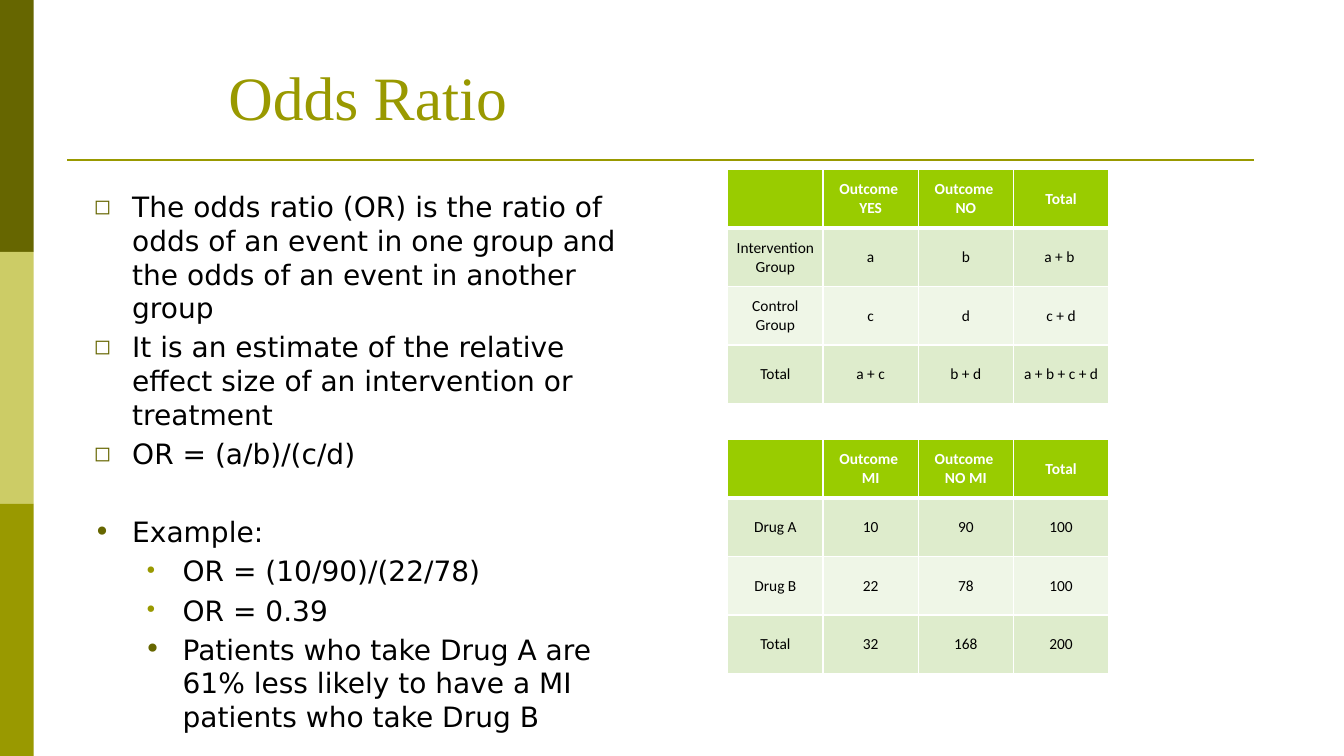
"""Build the Odds Ratio slide with its bullet list and two outcome tables."""
from dataclasses import dataclass

from lxml import etree
from pptx import Presentation
from pptx.dml.color import RGBColor
from pptx.enum.shapes import MSO_CONNECTOR, MSO_SHAPE
from pptx.enum.text import MSO_ANCHOR, PP_ALIGN
from pptx.oxml.ns import qn
from pptx.util import Emu, Inches, Pt

RECT = MSO_SHAPE.RECTANGLE
LINE = MSO_CONNECTOR.STRAIGHT
TOP, MIDDLE, BOTTOM = MSO_ANCHOR.TOP, MSO_ANCHOR.MIDDLE, MSO_ANCHOR.BOTTOM
CENTER = PP_ALIGN.CENTER
WIDE, HIGH = Inches(13.333), Inches(7.5)
COLS, ROWS = 80, 45


@dataclass(frozen=True)
class Theme:
    dark: str = "666600"
    pale: str = "CCCC66"
    olive: str = "999900"
    head: str = "99CC00"
    bands: tuple = ("DEECCC", "EFF6E7")
    white: str = "FFFFFF"
    black: str = "000000"
    serif: str = "Times New Roman"
    sans: str = "DejaVu Sans"
    grid: str = "Calibri"
    title: int = 44
    body: int = 20
    cell: int = 11
    lead: int = 24
    gap: int = 4


@dataclass(frozen=True)
class Box:
    x: float
    y: float
    w: float
    h: float

    def place(self) -> tuple:
        return across(self.x), down(self.y), across(self.w), down(self.h)


@dataclass(frozen=True)
class Point:
    text: str
    mark: str = "◻"
    tint: str = "666600"
    size: int = 75
    left: float = 0.38
    gap: int = 4


@dataclass(frozen=True)
class Grid:
    box: Box
    rows: tuple


T = Theme()
BARS = (T.dark, T.pale, T.olive)
SUB = dict(mark="•", left=0.88)
POINTS = (
    Point("The odds ratio (OR) is the ratio of odds of an event in one group "
          "and the odds of an event in another group"),
    Point("It is an estimate of the relative effect size of an intervention "
          "or treatment"),
    Point("OR = (a/b)/(c/d)"),
    Point("Example:", mark="•", size=100, gap=T.lead + 2 * T.gap),
    Point("OR = (10/90)/(22/78)", tint=T.olive, size=80, **SUB),
    Point("OR = 0.39", tint=T.olive, size=80, **SUB),
    Point("Patients who take Drug A are 61% less likely to have a MI patients "
          "who take Drug B", size=100, **SUB),
)
GRIDS = (
    Grid(Box(43.32, 10.1, 22.68, 13.92), (
        ("", "Outcome \nYES", "Outcome \nNO", "Total"),
        ("Intervention Group", "a", "b", "a + b "),
        ("Control Group", "c", "d", "c + d"),
        ("Total", "a + c", "b + d", "a + b + c + d"))),
    Grid(Box(43.32, 26.17, 22.68, 13.92), (
        ("", "Outcome \nMI", "Outcome \nNO MI", "Total"),
        ("Drug A", "10", "90", "100"),
        ("Drug B", "22", "78", "100"),
        ("Total", "32", "168", "200"))),
)


def across(n: float) -> Emu:
    return Emu(round(WIDE * n / COLS))


def down(n: float) -> Emu:
    return Emu(round(HIGH * n / ROWS))


def style(para, face: str, size: int, tint: str, bold: bool = False) -> None:
    for run in para.runs:
        run.font.name, run.font.size, run.font.bold = face, Pt(size), bold
        run.font.color.rgb = RGBColor.from_string(tint)


def add(node, tag: str, **attrs: str):
    return etree.SubElement(node, qn(tag), attrs)


def draw_bar(slide, row: int, tint: str) -> None:
    bar = slide.shapes.add_shape(RECT, *Box(0, 15 * row, 2, 15).place())
    bar.shadow.inherit = False
    bar.fill.solid()
    bar.fill.fore_color.rgb = RGBColor.from_string(tint)
    bar.line.fill.background()


def draw_rule(slide) -> None:
    y = down(9.5)
    rule = slide.shapes.add_connector(LINE, across(4), y, across(74.64), y)
    rule.line.color.rgb = RGBColor.from_string(T.olive)
    rule.line.width = Pt(1.5)
    add(rule.element.spPr, "a:effectLst")


def text_box(slide, box: Box, anchor):
    frame = slide.shapes.add_textbox(*box.place()).text_frame
    frame.word_wrap = True
    frame.vertical_anchor = anchor
    return frame


def draw_title(slide) -> None:
    frame = text_box(slide, Box(13, 0.72, 54, 7.5), BOTTOM)
    frame.text = "Odds Ratio"
    style(frame.paragraphs[0], T.serif, T.title, T.olive)


def draw_list(slide, points: tuple) -> None:
    frame = text_box(slide, Box(5, 11, 34.5, 34), TOP)
    frame.text = "\n".join(p.text for p in points)
    for i, (para, point) in enumerate(zip(frame.paragraphs, points)):
        props = para._p.get_or_add_pPr()
        props.set("marL", str(Inches(point.left)))
        props.set("indent", str(-Inches(0.38)))
        add(add(props, "a:buClr"), "a:srgbClr", val=point.tint)
        add(props, "a:buSzPct", val=str(point.size * 1000))
        add(props, "a:buFont", typeface=T.sans)
        add(props, "a:buChar", char=point.mark)
        para.line_spacing = Pt(T.lead)
        para.space_before = Pt(point.gap if i else 0)
        style(para, T.sans, T.body, T.black)


def edge(cell, row: int) -> None:
    props = cell._tc.get_or_add_tcPr()
    thick = {(0, "B"), (1, "T")}
    for side in "LRTB":
        width = Pt(3 if (row, side) in thick else 1)
        line = add(props, f"a:ln{side}", w=str(width))
        add(add(line, "a:solidFill"), "a:srgbClr", val=T.white)


def draw_cell(cell, row: int, text: str) -> None:
    edge(cell, row)
    cell.fill.solid()
    fill = T.bands[(row - 1) % 2] if row else T.head
    cell.fill.fore_color.rgb = RGBColor.from_string(fill)
    cell.vertical_anchor = MIDDLE
    cell.margin_left = cell.margin_right = Inches(0.05)
    cell.margin_top = cell.margin_bottom = Inches(0.02)
    cell.text_frame.text = text
    for para in cell.text_frame.paragraphs:
        para.alignment = CENTER
        style(para, T.grid, T.cell, T.black if row else T.white, not row)


def draw_grid(slide, grid: Grid) -> None:
    size = len(grid.rows), len(grid.rows[0])
    table = slide.shapes.add_table(*size, *grid.box.place()).table
    for r, row in enumerate(grid.rows):
        for c, text in enumerate(row):
            draw_cell(table.cell(r, c), r, text)


def main() -> None:
    deck = Presentation()
    deck.slide_width, deck.slide_height = WIDE, HIGH
    slide = deck.slides.add_slide(deck.slide_layouts[6])
    for row, tint in enumerate(BARS):
        draw_bar(slide, row, tint)
    draw_rule(slide)
    draw_title(slide)
    draw_list(slide, POINTS)
    for grid in GRIDS:
        draw_grid(slide, grid)
    deck.save("out.pptx")


if __name__ == "__main__":
    main()
